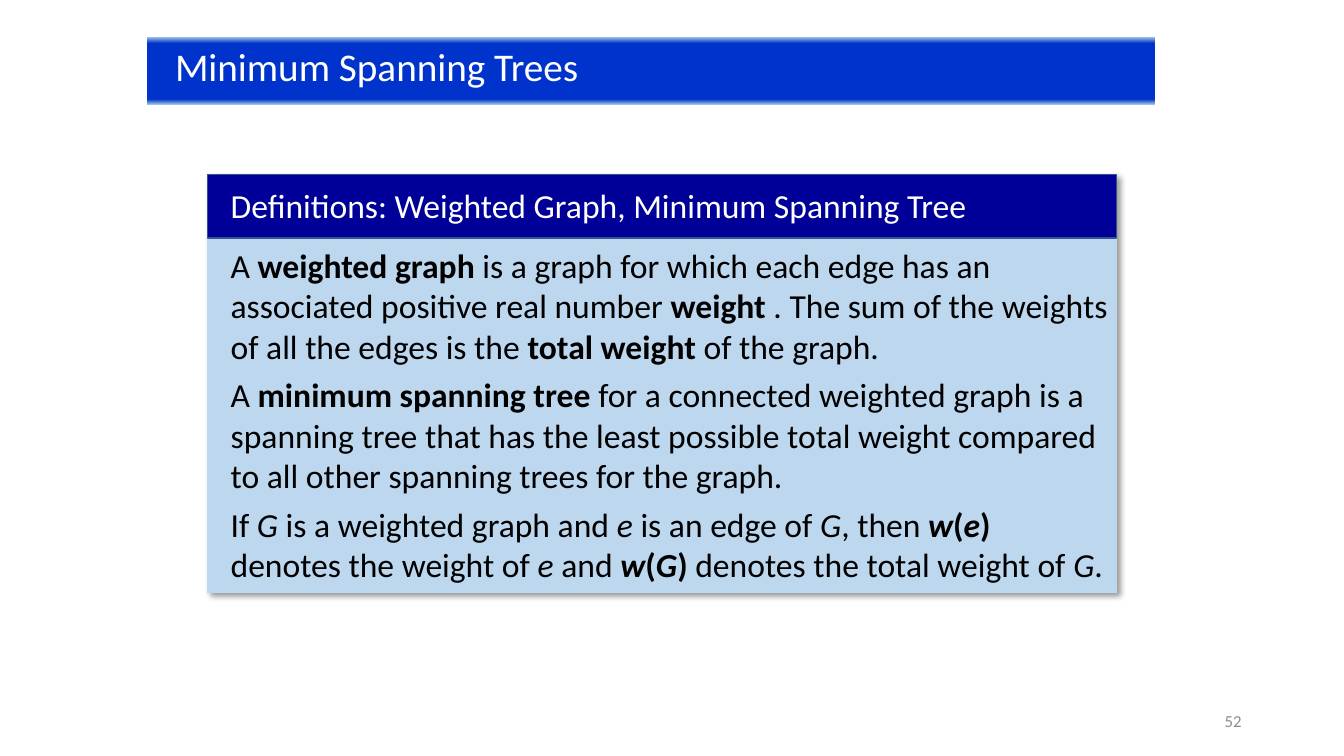
from copy import deepcopy

from lxml.etree import SubElement
from pptx import Presentation
from pptx.dml.color import RGBColor
from pptx.enum.shapes import MSO_SHAPE
from pptx.enum.text import MSO_ANCHOR, MSO_AUTO_SIZE, PP_ALIGN
from pptx.oxml.ns import qn
from pptx.util import Pt

FONT = "Calibri"
WHITE = RGBColor(0xFF, 0xFF, 0xFF)
BLACK = RGBColor(0x00, 0x00, 0x00)
GRAY = RGBColor(0x8C, 0x8C, 0x8C)
BAND_EDGE = RGBColor(0x9D, 0xC3, 0xE6)
BAND_BLUE = RGBColor(0x00, 0x33, 0xCC)
CARD_BLUE = RGBColor(0xBD, 0xD7, 0xEE)
HEADING_BLUE = RGBColor(0x00, 0x00, 0x99)
HEADING_EDGE = RGBColor(0x32, 0x54, 0x91)

BAND_STOPS = [(0, BAND_EDGE), (0.09, BAND_BLUE), (0.92, BAND_BLUE), (1, BAND_EDGE)]

DEFINITIONS = [
    [
        ("A ", ""),
        ("weighted graph ", "b"),
        ("is a graph for which each edge has an associated positive real number ", ""),
        ("weight ", "b"),
        (". The sum of the weights of all the edges is the ", ""),
        ("total weight", "b"),
        (" of the graph.", ""),
    ],
    [
        ("A ", ""),
        ("minimum spanning tree ", "b"),
        ("for a connected weighted graph is a spanning tree that has the least "
         "possible total weight compared to all other spanning trees for the graph.", ""),
    ],
    [
        ("If ", ""), ("G", "i"), (" is a weighted graph and ", ""), ("e", "i"),
        (" is an edge of ", ""), ("G", "i"), (", then ", ""),
        ("w", "bi"), ("(", "b"), ("e", "bi"), (")", "b"),
        (" denotes the weight of ", ""), ("e", "i"), (" and ", ""),
        ("w", "bi"), ("(", "b"), ("G", "bi"), (")", "b"),
        (" denotes the total weight of ", ""), ("G", "i"), (".", ""),
    ],
]


def add_run(paragraph, text, size, color, style=""):
    run = paragraph.add_run()
    run.text = text
    run.font.name = FONT
    run.font.size = Pt(size)
    run.font.color.rgb = color
    run.font.bold = "b" in style
    run.font.italic = "i" in style


def add_panel(group, left, top, width, height, fill, edge):
    panel = group.shapes.add_shape(
        MSO_SHAPE.RECTANGLE, Pt(left), Pt(top), Pt(width), Pt(height))
    panel.shadow.inherit = False
    panel.fill.solid()
    panel.fill.fore_color.rgb = fill
    panel.line.color.rgb = edge
    panel.line.width = Pt(1)
    return panel


def add_text_frame(container, left, top, width, height):
    box = container.shapes.add_textbox(Pt(left), Pt(top), Pt(width), Pt(height))
    box.text_frame.word_wrap = True
    return box.text_frame


def cast_shadow(panel):
    effects = panel._element.spPr.find(qn("a:effectLst"))
    shadow = SubElement(effects, qn("a:outerShdw"), blurRad=str(Pt(4)),
                        dist=str(Pt(3)), dir="2700000", algn="tl", rotWithShape="0")
    shade = SubElement(shadow, qn("a:srgbClr"), val=str(BLACK))
    SubElement(shade, qn("a:alpha"), val="40000")


def place_title(slide, left, top, width, height):
    title = slide.shapes.title
    title.left, title.top, title.width, title.height = map(Pt, (left, top, width, height))
    title.fill.gradient()
    stop_list = title._element.spPr.find(qn("a:gradFill")).find(qn("a:gsLst"))
    for stop in list(stop_list):
        stop_list.append(deepcopy(stop))
    for stop, (position, color) in zip(title.fill.gradient_stops, BAND_STOPS):
        stop.position = position
        stop.color.rgb = color
    title.fill.gradient_angle = 270
    frame = title.text_frame
    frame.auto_size = MSO_AUTO_SIZE.NONE
    frame.vertical_anchor = MSO_ANCHOR.TOP
    frame.margin_left = Pt(20)
    frame.paragraphs[0].alignment = PP_ALIGN.LEFT
    add_run(frame.paragraphs[0], "Minimum Spanning Trees", 28, WHITE)


def place_definition_card(slide, left, top, width, height):
    heading_height = 45.4
    text_left = left + 9.4
    group = slide.shapes.add_group_shape()
    card = add_panel(group, left, top, width, height, CARD_BLUE, CARD_BLUE)
    cast_shadow(card)
    add_panel(group, left, top, width, heading_height, HEADING_BLUE, HEADING_EDGE)

    heading = add_text_frame(group, text_left, top + 3.6, width - 35, 36)
    heading.auto_size = MSO_AUTO_SIZE.SHAPE_TO_FIT_TEXT
    add_run(heading.paragraphs[0],
            "Definitions: Weighted Graph, Minimum Spanning Tree", 24, WHITE)

    body_top = top + heading_height + 1.4
    body = add_text_frame(group, text_left, body_top, width - 8.6, top + height - body_top)
    body.auto_size = MSO_AUTO_SIZE.SHAPE_TO_FIT_TEXT
    for index, definition in enumerate(DEFINITIONS):
        paragraph = body.add_paragraph() if index else body.paragraphs[0]
        paragraph.space_after = Pt(6)
        for text, style in definition:
            add_run(paragraph, text, 24, BLACK, style)


def place_page_number(slide, left, top, width, height):
    frame = add_text_frame(slide, left, top, width, height)
    frame.vertical_anchor = MSO_ANCHOR.MIDDLE
    frame.paragraphs[0].alignment = PP_ALIGN.RIGHT
    add_run(frame.paragraphs[0], "52", 12, GRAY)


def main():
    presentation = Presentation()
    presentation.slide_width = Pt(960)
    presentation.slide_height = Pt(540)
    slide = presentation.slides.add_slide(presentation.slide_layouts[5])
    place_title(slide, 105, 26.6, 720, 48.2)
    place_definition_card(slide, 148.3, 124.6, 649.4, 298.8)
    place_page_number(slide, 678, 500.5, 216, 28.8)
    presentation.save("out.pptx")


if __name__ == "__main__":
    main()
